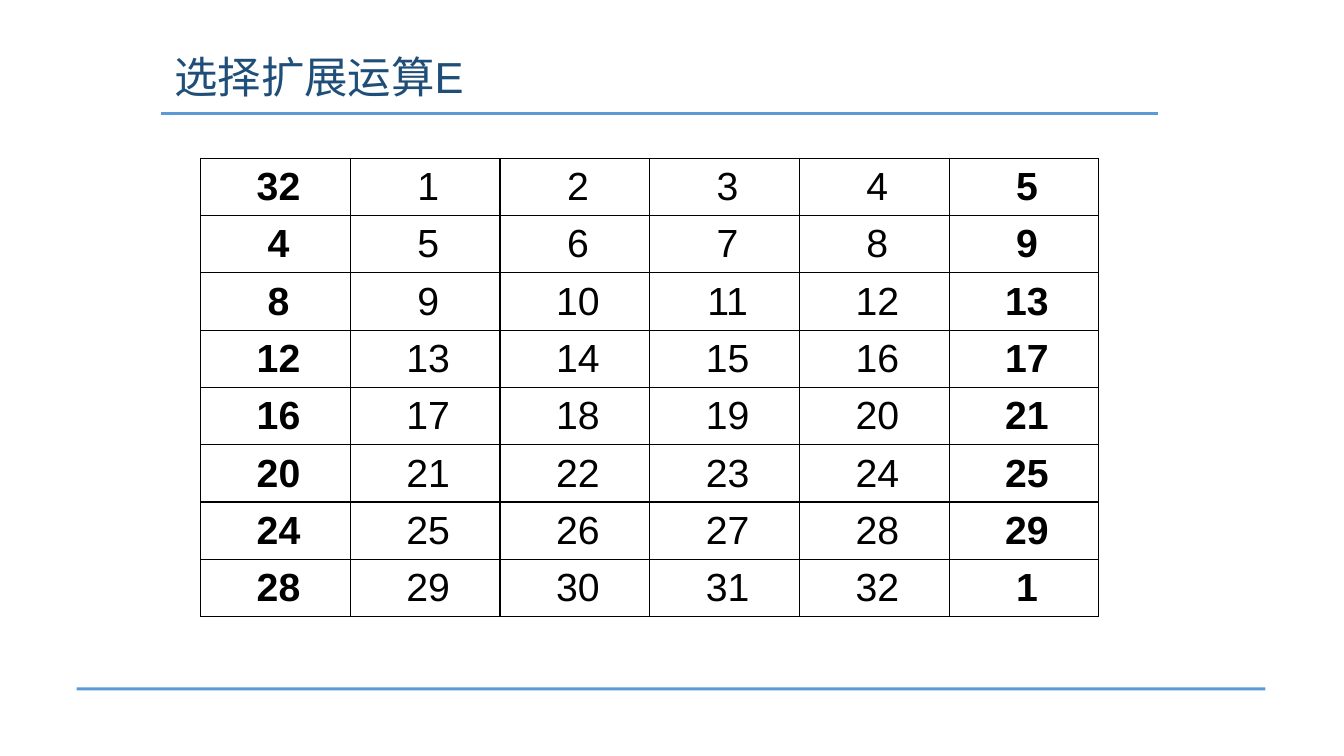
from lxml.etree import SubElement
from pptx import Presentation
from pptx.dml.color import RGBColor
from pptx.enum.shapes import MSO_CONNECTOR, MSO_SHAPE
from pptx.enum.text import MSO_ANCHOR, MSO_AUTO_SIZE, PP_ALIGN
from pptx.oxml import parse_xml
from pptx.oxml.ns import nsdecls, qn
from pptx.util import Inches, Pt

NAVY = RGBColor(0x1F, 0x4E, 0x79)
BLUE = RGBColor(0x5B, 0x9B, 0xD5)
BLACK = RGBColor(0, 0, 0)
FONT = "Arial"
ROWS, COLUMNS, BITS = 8, 6, 32


class SlideBuilder:
    def __init__(self, slide):
        self.slide = slide

    def style(self, paragraph, size, color, bold=False):
        font = paragraph.font
        font.name = FONT
        font.size = Pt(size)
        font.bold = bold
        font.color.rgb = color

    def title(self, text, left, top, width, height):
        shape = self.slide.shapes.title
        shape.left, shape.top = Inches(left), Inches(top)
        shape.width, shape.height = Inches(width), Inches(height)
        frame = shape.text_frame
        frame.text = text
        frame.margin_left = frame.margin_right = 0
        frame.margin_top = frame.margin_bottom = 0
        frame.vertical_anchor = MSO_ANCHOR.TOP
        frame.auto_size = MSO_AUTO_SIZE.NONE
        paragraph = frame.paragraphs[0]
        paragraph.alignment = PP_ALIGN.LEFT
        paragraph.line_spacing = 0.94
        self.style(paragraph, 31, NAVY)

    def line(self, left, right, y, weight):
        connector = self.slide.shapes.add_connector(
            MSO_CONNECTOR.STRAIGHT, Inches(left), Inches(y), Inches(right), Inches(y))
        connector.line.color.rgb = BLUE
        connector.line.width = Pt(weight)
        SubElement(connector._element.spPr, qn("a:effectLst"))

    def bar(self, left, top, width, height):
        shape = self.slide.shapes.add_shape(
            MSO_SHAPE.RECTANGLE, Inches(left), Inches(top), Inches(width), Inches(height))
        shape.shadow.inherit = False
        shape.fill.solid()
        shape.fill.fore_color.rgb = BLUE
        shape.line.fill.background()

    def border(self, cell):
        properties = cell._tc.get_or_add_tcPr()
        for side in ("lnL", "lnR", "lnT", "lnB"):
            properties.append(parse_xml(
                f'<a:{side} {nsdecls("a")} w="{Pt(1)}"><a:solidFill>'
                f'<a:srgbClr val="{BLACK}"/></a:solidFill></a:{side}>'))

    def table(self, values, bold_columns, left, top, width, height):
        table = self.slide.shapes.add_table(
            len(values), len(values[0]), Inches(left), Inches(top),
            Inches(width), Inches(height)).table
        table.first_row = table.horz_banding = False
        for row, numbers in enumerate(values):
            for column, number in enumerate(numbers):
                cell = table.cell(row, column)
                cell.margin_left = Inches(0.06)
                cell.margin_right = cell.margin_top = cell.margin_bottom = 0
                cell.vertical_anchor = MSO_ANCHOR.MIDDLE
                cell.text = str(number)
                paragraph = cell.text_frame.paragraphs[0]
                paragraph.alignment = PP_ALIGN.CENTER
                self.style(paragraph, 28, BLACK, column in bold_columns)
                self.border(cell)
                cell.fill.background()


def main():
    presentation = Presentation()
    presentation.slide_width = Inches(13.33)
    presentation.slide_height = Inches(7.5)
    builder = SlideBuilder(presentation.slides.add_slide(presentation.slide_layouts[5]))
    expansion = [[(4 * row + column - 1) % BITS + 1 for column in range(COLUMNS)]
                 for row in range(ROWS)]
    builder.table(expansion, (0, COLUMNS - 1), 1.99, 1.57, 8.91, 4.55)
    builder.title("选择扩展运算E", 1.73, 0.54, 3.81, 0.52)
    builder.bar(0.76, 6.82, 11.79, 0.03)
    builder.line(1.6, 11.49, 1.13, 2.16)
    presentation.save("out.pptx")


if __name__ == "__main__":
    main()
